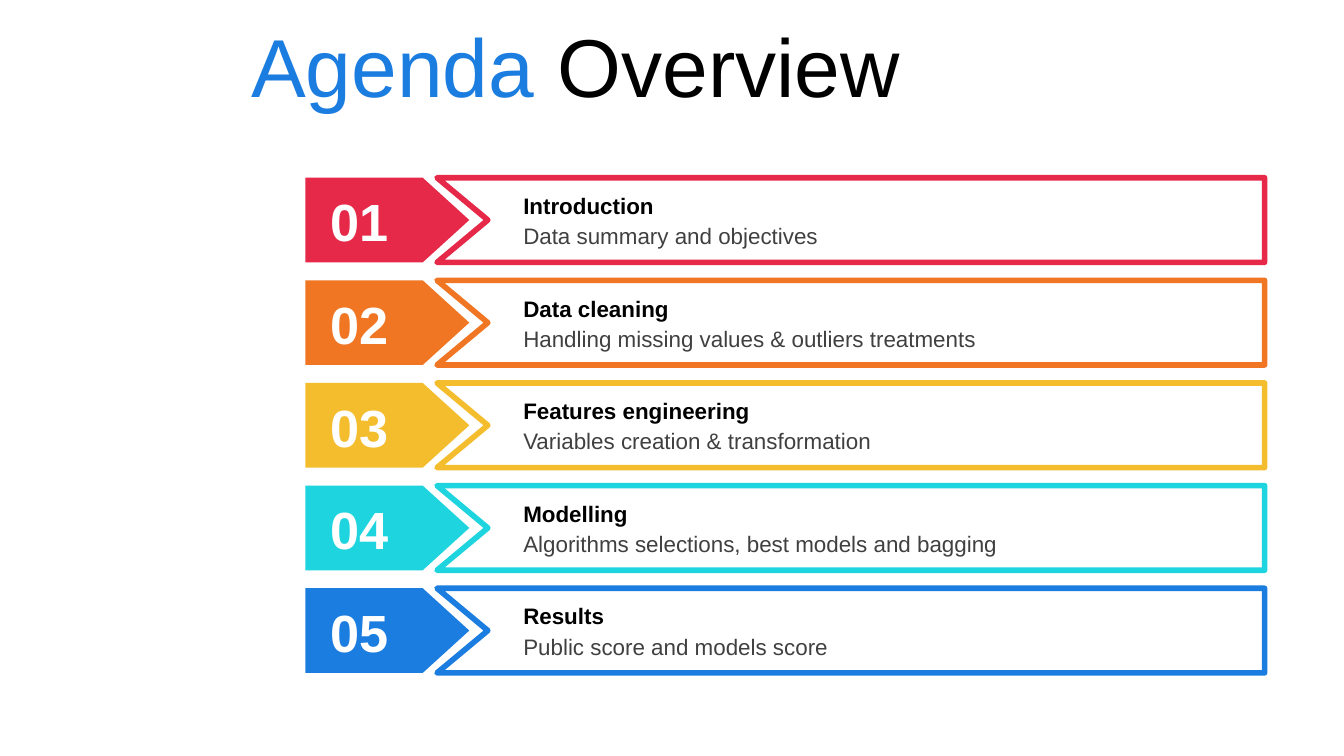
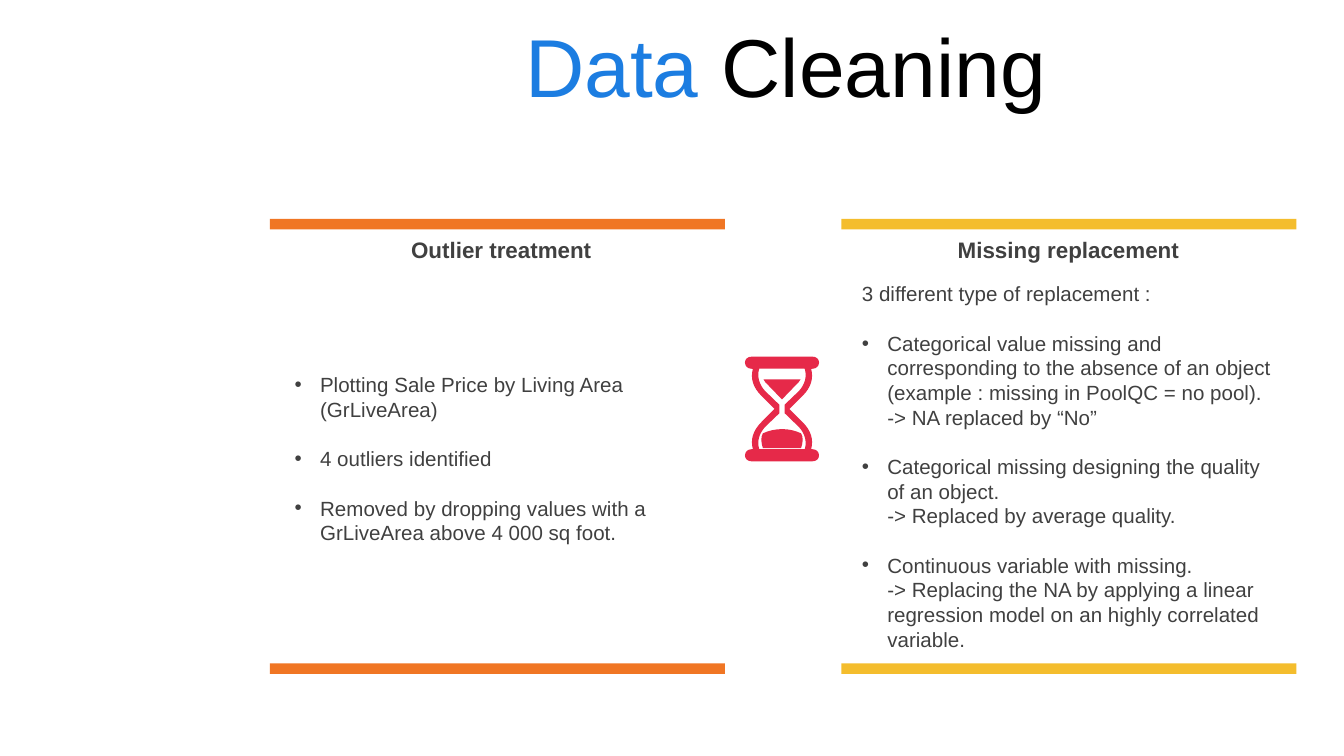
from copy import deepcopy
from dataclasses import dataclass
from math import cos, radians, sin
from typing import NamedTuple

from lxml import etree
from pptx import Presentation
from pptx.dml.color import RGBColor
from pptx.enum import shapes, text
from pptx.oxml import ns
from pptx.util import Cm, Pt

FONT = "Arial"
RED = RGBColor(0xE6, 0x29, 0x49)
ORANGE = RGBColor(0xF0, 0x76, 0x24)
YELLOW = RGBColor(0xF4, 0xBD, 0x2D)
CYAN = RGBColor(0x1E, 0xD4, 0xDE)
BLUE = RGBColor(0x1C, 0x7D, 0xE1)
BLACK = RGBColor(0, 0, 0)
GRAY = RGBColor(0x40, 0x40, 0x40)
WHITE = RGBColor(255, 255, 255)

SLIDE_WIDTH, SLIDE_HEIGHT = 25.4, 14.29
TITLE_HEIGHT = 2.46
INDENT = Cm(0.48)
GLASS_TILT = 313.4
LEFT, CENTER = text.PP_ALIGN.LEFT, text.PP_ALIGN.CENTER
TOP, MIDDLE, BOTTOM = (text.MSO_ANCHOR.TOP, text.MSO_ANCHOR.MIDDLE,
                       text.MSO_ANCHOR.BOTTOM)


class Box(NamedTuple):
    """Left, top, width and height in centimetres."""
    left: float
    top: float
    width: float
    height: float

    def lengths(self):
        return [Cm(side) for side in self]


@dataclass
class AgendaItem:
    color: RGBColor
    heading: str
    detail: str


@dataclass
class Column:
    color: RGBColor
    bar_left: float
    text_left: float
    heading: str
    body_top: float
    body_height: float
    body_anchor: text.MSO_ANCHOR
    body: list[str]
    bullets_from: int


AGENDA = [
    AgendaItem(RED, "Introduction", "Data summary and objectives"),
    AgendaItem(ORANGE, "Data cleaning", "Handling missing values & outliers treatments"),
    AgendaItem(YELLOW, "Features engineering", "Variables creation & transformation"),
    AgendaItem(CYAN, "Modelling", "Algorithms selections, best models and bagging"),
    AgendaItem(BLUE, "Results", "Public score and models score"),
]

COLUMNS = [
    Column(ORANGE, 5.1, 5.32, "Outlier treatment", 5.51, 4.92, BOTTOM, [
        "Plotting Sale Price by Living Area (GrLiveArea)",
        "4 outliers identified",
        "Removed by dropping values with a GrLiveArea above 4 000 sq foot.",
    ], bullets_from=0),
    Column(YELLOW, 15.9, 16.04, "Missing replacement", 5.19, 8.76, TOP, [
        "3 different type of replacement :",
        "Categorical value missing and corresponding to the absence of an object "
        "(example : missing in PoolQC = no pool).\n-> NA replaced by “No”",
        "Categorical missing designing the quality of an object.\n"
        "-> Replaced by average quality.",
        "Continuous variable with missing.\n-> Replacing the NA by applying a linear "
        "regression model on an highly correlated variable.",
    ], bullets_from=1),
]

# Hourglass contours in cm from its centre, right side only:
# one point is a line, three points are a Bézier curve.
GLASS_OUTSIDE = [
    [(0.57, -0.99)],
    [(0.65, -0.99), (0.7, -0.94), (0.7, -0.88)],
    [(0.7, -0.81), (0.65, -0.76), (0.57, -0.76)],
    [(0.55, -0.76)],
    [(0.6, -0.58), (0.55, -0.41), (0.39, -0.25)],
    [(0.14, 0)],
]
GLASS_INSIDE = [
    [(0.43, -0.76)],
    [(0.48, -0.6), (0.42, -0.45), (0.32, -0.34)],
    [(0.05, -0.08)],
]
UPPER_SAND = [
    [(0.35, -0.56)],
    [(0.32, -0.51), (0.3, -0.48), (0.27, -0.46)],
    [(0, -0.18)],
]
LOWER_SAND = [
    [(0, 0.38)],
    [(0.13, 0.38), (0.25, 0.41), (0.36, 0.46)],
    [(0.41, 0.53), (0.39, 0.66), (0.36, 0.74)],
]


def add_bullet(paragraph) -> None:
    properties = paragraph._p.get_or_add_pPr()
    properties.set("marL", str(INDENT))
    properties.set("indent", str(-INDENT))
    etree.SubElement(properties, ns.qn("a:buFont")).set("typeface", FONT)
    etree.SubElement(properties, ns.qn("a:buChar")).set("char", "•")


def add_text(slide, box: Box, *paragraphs: str, size: float = 12, color=GRAY,
             bold=False, align=LEFT, anchor=TOP, inset_y=0.13, gap: float = 0,
             bullets_from: int | None = None, lead: str = "") -> None:
    """Write paragraphs; lead is a blue run in front of the first one."""
    frame = slide.shapes.add_textbox(*box.lengths()).text_frame
    frame.word_wrap = True
    frame.vertical_anchor = anchor
    frame.margin_top = frame.margin_bottom = Cm(inset_y)
    for index, words in enumerate(paragraphs):
        paragraph = frame.add_paragraph() if index else frame.paragraphs[0]
        if bullets_from is not None and index >= bullets_from:
            add_bullet(paragraph)
        paragraph.alignment = align
        if index and gap:
            paragraph.space_before = Pt(gap)
        if lead and not index:
            paragraph.add_run().text = lead
        for number, line in enumerate(words.split("\n")):
            if number:
                paragraph.add_line_break()
            paragraph.add_run().text = line
        for run in paragraph.runs:
            run.font.name, run.font.size, run.font.bold = FONT, Pt(size), bold
            run.font.color.rgb = color
        if lead and not index:
            paragraph.runs[0].font.color.rgb = BLUE
        for line_break in paragraph._p.findall(ns.qn("a:br")):
            line_break.append(deepcopy(paragraph.runs[0].font._rPr))


def paint(shape, fill: RGBColor, outline: RGBColor | None = None) -> None:
    shape.shadow.inherit = False
    shape.fill.solid()
    shape.fill.fore_color.rgb = fill
    if outline is None:
        shape.line.fill.background()
    else:
        shape.line.color.rgb = outline
        shape.line.width = Pt(3)
        etree.SubElement(shape.line._ln, ns.qn("a:round"))


def add_preset(slide, kind, box: Box, fill: RGBColor):
    shape = slide.shapes.add_shape(kind, *box.lengths())
    paint(shape, fill)
    return shape


def curve_lines(shape, segments) -> None:
    """Join each three lines that stand for a Bézier curve into one curve."""
    commands = iter(list(shape._element.iter(ns.qn("a:moveTo"), ns.qn("a:lnTo"))))
    for segment in segments:
        first, *others = [next(commands) for _ in segment]
        if others:
            first.tag = ns.qn("a:cubicBezTo")
            for other in others:
                first.append(other[0])
                other.getparent().remove(other)


def add_outline(slide, contours, fill: RGBColor, outline: RGBColor | None = None):
    """Draw closed contours of line and curve segments, in cm, as one shape."""
    builder = None
    for contour in contours:
        start, *rest = [(Cm(x), Cm(y)) for segment in contour for x, y in segment]
        if builder is None:
            builder = slide.shapes.build_freeform(*start)
        else:
            builder.move_to(*start)
        builder.add_line_segments(rest, close=False)
        builder.add_line_segments([], close=True)
    shape = builder.convert_to_shape()
    curve_lines(shape, [segment for contour in contours for segment in contour])
    paint(shape, fill, outline)
    return shape


def add_title(slide, lead: str, rest: str, left: float, align=LEFT) -> None:
    add_text(slide, Box(left, 0, SLIDE_WIDTH - left, TITLE_HEIGHT), rest, lead=lead,
             size=44, color=BLACK, align=align, anchor=MIDDLE)


def mirror(segments, x_sign: int, y_sign: int):
    """Continue a contour with its own reflection, walked backwards."""
    points = [point for segment in segments for point in segment]
    backwards = iter([(x * x_sign, y * y_sign) for x, y in reversed(points)])
    sizes = [1] + [len(segment) for segment in reversed(segments[1:])]
    reflected = [[next(backwards) for _ in range(size)] for size in sizes]
    if reflected[0][0] == points[-1]:
        del reflected[0]
    return segments + reflected


def add_hourglass(slide, center_x: float, center_y: float) -> None:
    """Draw the glass lying aslant and turn it upright."""
    halves = [mirror(side, 1, -1) for side in (GLASS_OUTSIDE, GLASS_INSIDE)]
    angle = radians(-GLASS_TILT)

    def tilt(x: float, y: float) -> tuple[float, float]:
        return (center_x + x * cos(angle) - y * sin(angle),
                center_y + x * sin(angle) + y * cos(angle))

    contours = [[[tilt(*point) for point in segment] for segment in mirror(half, -1, 1)]
                for half in halves + [UPPER_SAND, LOWER_SAND]]
    add_outline(slide, contours, RED).rotation = GLASS_TILT


def add_agenda_row(slide, number: int, item: AgendaItem) -> None:
    height = 1.6
    top = 3.36 + 1.94 * (number - 1)
    bottom = top + height
    tag = add_preset(slide, shapes.MSO_SHAPE.PENTAGON, Box(5.77, top, 3.1, height),
                     item.color)
    tag.adjustments[0] = 0.55
    frame = [(8.26, top), (23.9, top), (23.9, bottom), (8.26, bottom),
             (9.22, top + height / 2)]
    add_outline(slide, [[[corner] for corner in frame]], WHITE, item.color)
    add_text(slide, Box(5.99, top + 0.22, 1.68, 1.19), f"{number:02}", size=28,
             color=WHITE, bold=True, anchor=MIDDLE, inset_y=0)
    add_text(slide, Box(9.64, top + 0.14, 13.46, 0.76), item.heading,
             color=BLACK, bold=True)
    add_text(slide, Box(9.64, top + 0.71, 13.46, 0.76), item.detail)


def add_column(slide, column: Column) -> None:
    text_width = 8.31
    for bar_top in (4.14, 12.54):
        add_preset(slide, shapes.MSO_SHAPE.RECTANGLE,
                   Box(column.bar_left, bar_top, 8.6, 0.2), column.color)
    add_text(slide, Box(column.text_left, column.body_top, text_width, column.body_height),
             *column.body, size=11, gap=13.2, anchor=column.body_anchor,
             bullets_from=column.bullets_from)
    add_text(slide, Box(column.text_left, 4.34, text_width, 0.76), column.heading,
             bold=True, align=CENTER)


def build_agenda(slide) -> None:
    add_title(slide, "Agenda ", "Overview", left=4.5)
    for number, item in enumerate(AGENDA, start=1):
        add_agenda_row(slide, number, item)


def build_data_cleaning(slide) -> None:
    add_title(slide, "Data ", "Cleaning", left=4.3, align=CENTER)
    for column in COLUMNS:
        add_column(slide, column)
    add_hourglass(slide, 14.78, 7.73)


def main() -> None:
    deck = Presentation()
    deck.slide_width, deck.slide_height = Cm(SLIDE_WIDTH), Cm(SLIDE_HEIGHT)
    blank = deck.slide_layouts[6]
    for build in (build_agenda, build_data_cleaning):
        build(deck.slides.add_slide(blank))
    deck.save("out.pptx")


if __name__ == "__main__":
    main()
